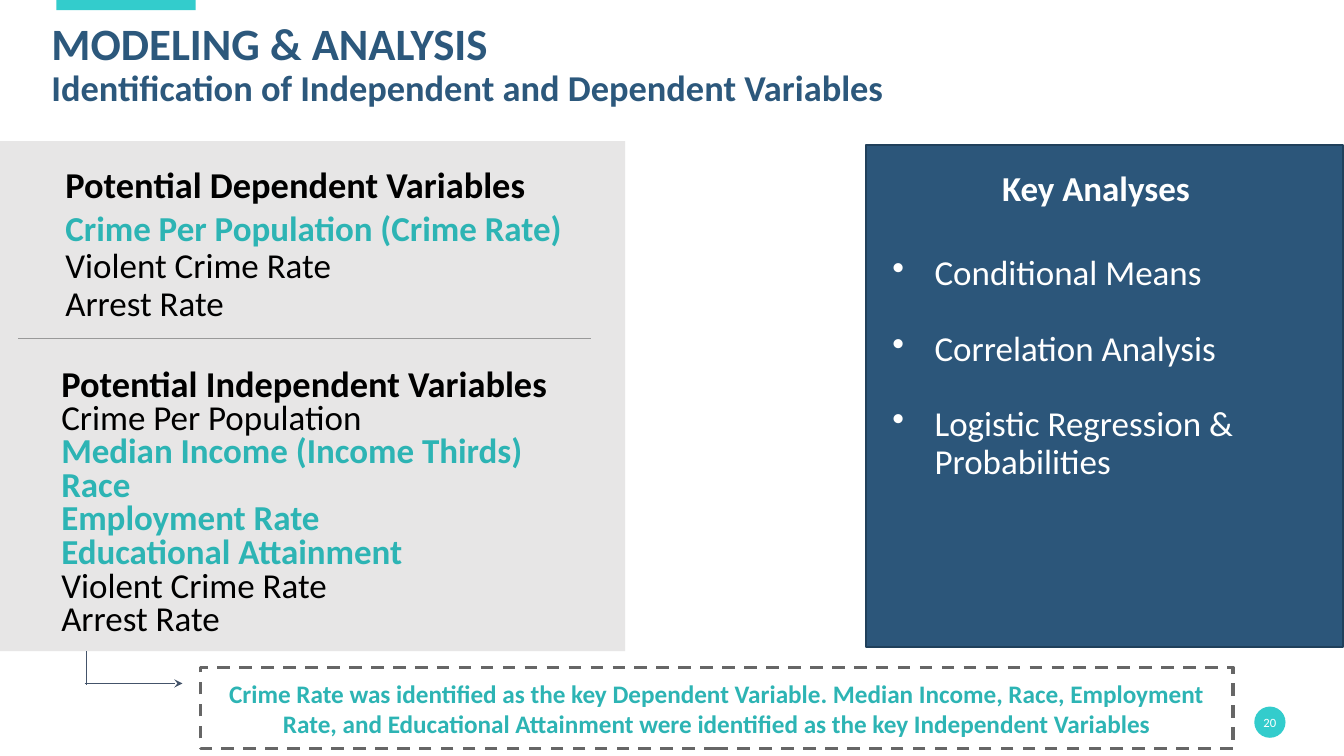
from lxml import etree
from pptx import Presentation
from pptx.dml.color import RGBColor
from pptx.enum.dml import MSO_LINE_DASH_STYLE as Dash
from pptx.enum.shapes import MSO_CONNECTOR as Connector, MSO_SHAPE as Shape
from pptx.enum.text import MSO_ANCHOR as Anchor, MSO_AUTO_SIZE as AutoSize, PP_ALIGN as Align
from pptx.oxml.ns import qn
from pptx.util import Inches, Pt

COLORS = {
    "turquoise": "33CCCC", "teal": "2DB4B4", "navy": "2C567A", "title": "2C587C",
    "navy edge": "20405B", "grey": "E7E6E6", "rule": "999999", "dash": "666666",
    "arrow": "44546A", "black": "000000", "white": "FFFFFF",
}
HEADING = {"size": 26, "bold": True, "color": "black"}
PLAIN = {"size": 25, "bold": False, "color": "black"}
CHOSEN = {"size": 25, "bold": True, "color": "teal"}


def rgb(name):
    return RGBColor.from_string(COLORS[name])


def add_panel(page, box, fill, line=None, width=1, kind=Shape.RECTANGLE):
    panel = page.shapes.add_shape(kind, *map(Inches, box))
    panel.shadow.inherit = False
    panel.fill.solid()
    panel.fill.fore_color.rgb = rgb(fill)
    if line:
        panel.line.color.rgb = rgb(line)
        panel.line.width = Pt(width)
    else:
        panel.line.fill.background()
    return panel


def add_line(page, start, end, color, arrow=False):
    line = page.shapes.add_connector(Connector.STRAIGHT, *map(Inches, start + end))
    line.line.color.rgb = rgb(color)
    line.line.width = Pt(0.75)
    properties = line._element.spPr
    if arrow:
        etree.SubElement(properties.find(qn("a:ln")), qn("a:tailEnd"), type="stealth")
    etree.SubElement(properties, qn("a:effectLst"))


def set_frame(shape, inset=(0, 0), anchor=Anchor.TOP):
    frame = shape.text_frame
    across, down = map(Inches, inset)
    settings = {
        "word_wrap": True, "auto_size": AutoSize.NONE, "vertical_anchor": anchor,
        "margin_left": across, "margin_right": across,
        "margin_top": down, "margin_bottom": down,
    }
    for name, value in settings.items():
        setattr(frame, name, value)
    return frame


def add_bullet(para):
    properties = para._p.get_or_add_pPr()
    properties.set("marL", str(Inches(0.5)))
    properties.set("indent", str(Inches(-0.42)))
    color = etree.SubElement(properties, qn("a:buClr"))
    etree.SubElement(color, qn("a:srgbClr"), val=COLORS["white"])
    etree.SubElement(properties, qn("a:buChar"), char="•")


def write(frame, lines):
    """Each line is its text and a dict of format values."""
    for index, (text, style) in enumerate(lines):
        para = frame.paragraphs[0] if index == 0 else frame.add_paragraph()
        para.alignment = style.get("align", Align.LEFT)
        para.line_spacing = style.get("spacing", 1.0)
        para.space_before = Pt(style.get("before", 0))
        if style.get("bullet"):
            add_bullet(para)
        span = para.add_run()
        span.text = text
        values = {"name": "Calibri", "size": Pt(style["size"]), "bold": style["bold"]}
        for name, value in values.items():
            setattr(span.font, name, value)
        span.font.color.rgb = rgb(style["color"])


def add_text(page, box, lines, inset=(0, 0)):
    write(set_frame(page.shapes.add_textbox(*map(Inches, box)), inset), lines)


def add_header(page, box):
    left, top, width, height = box
    add_panel(page, (left + 0.05, 0, 1.38, 0.1), "turquoise")
    title = page.shapes.title
    for name, value in zip(("left", "top", "width", "height"), box):
        setattr(title, name, Inches(value))
    style = {"bold": True, "color": "title", "spacing": 0.9}
    write(set_frame(title, anchor=Anchor.BOTTOM), [
        ("MODELING & ANALYSIS", {**style, "size": 32}),
        ("Identification of Independent and Dependent Variables", {**style, "size": 26}),
    ])


def add_variables(page, box):
    left, top, width, height = box
    add_panel(page, box, "grey")
    # Dependent variables
    add_text(page, (left + 0.55, top + 0.21, 5.64, 1.7), [
        ("Potential Dependent Variables", {**HEADING, "spacing": 0.9}),
        ("Crime Per Population (Crime Rate)", CHOSEN),
        ("Violent Crime Rate", {**PLAIN, "spacing": 0.9}),
        ("Arrest Rate", {**PLAIN, "spacing": 0.9}),
    ], inset=(0.1, 0.05))
    add_line(page, (left + 0.18, top + 1.96), (left + 5.86, top + 1.96), "rule")
    # Independent variables
    independent = [
        ("Crime Per Population", PLAIN),
        ("Median Income (Income Thirds)", CHOSEN),
        ("Race", CHOSEN),
        ("Employment Rate", CHOSEN),
        ("Educational Attainment", CHOSEN),
        ("Violent Crime Rate", PLAIN),
        ("Arrest Rate", PLAIN),
    ]
    lines = [("Potential Independent Variables", {**HEADING, "spacing": 0.7})]
    lines += [(text, {**style, "spacing": 0.8}) for text, style in independent]
    add_text(page, (left + 0.51, top + 2.25, 5.64, 2.8), lines, inset=(0.1, 0.05))


def add_analyses(page, box):
    left, top, width, height = box
    add_panel(page, box, "navy", "navy edge")
    style = {"size": 25, "color": "white", "spacing": 0.9}
    bullet = {**style, "bold": False, "bullet": True}
    add_text(page, (left + 0.18, top + 0.26, 4.2, height - 0.4), [
        ("Key Analyses", {**style, "bold": True, "align": Align.CENTER}),
        ("Conditional Means", {**bullet, "before": 33}),
        ("Correlation Analysis", {**bullet, "before": 27}),
        ("Logistic Regression & Probabilities", {**bullet, "before": 27}),
    ])


def add_conclusion(page, box):
    left, top, width, height = box
    # Elbow arrow from the variables to the conclusion
    add_line(page, (0.86, 6.46), (0.86, top + 0.18), "arrow")
    add_line(page, (0.84, top + 0.16), (left - 0.18, top + 0.16), "arrow", arrow=True)
    panel = add_panel(page, box, "white", "dash", 2.25)
    panel.line.dash_style = Dash.DASH
    text = ("Crime Rate was identified as the key Dependent Variable. "
            "Median Income, Race, Employment Rate, and Educational Attainment "
            "were identified as the key Independent Variables")
    style = {"size": 18, "bold": True, "color": "teal", "align": Align.CENTER}
    write(set_frame(panel, (0.1, 0.1), Anchor.MIDDLE), [(text, style)])


def add_page_number(page, box):
    badge = add_panel(page, box, "turquoise", kind=Shape.OVAL)
    style = {"size": 9, "bold": False, "color": "white", "align": Align.CENTER}
    write(set_frame(badge, anchor=Anchor.MIDDLE), [("20", style)])


def main():
    deck = Presentation()
    deck.slide_width, deck.slide_height = Inches(13.33), Inches(7.5)
    page = deck.slides.add_slide(deck.slide_layouts[5])
    add_header(page, (0.51, 0.08, 12.19, 1.01))
    add_variables(page, (0, 1.4, 6.2, 5.06))
    add_analyses(page, (8.59, 1.44, 4.73, 4.98))
    add_conclusion(page, (1.99, 6.62, 10.24, 0.81))
    add_page_number(page, (12.44, 7.01, 0.31, 0.31))
    deck.save("out.pptx")


if __name__ == "__main__":
    main()
